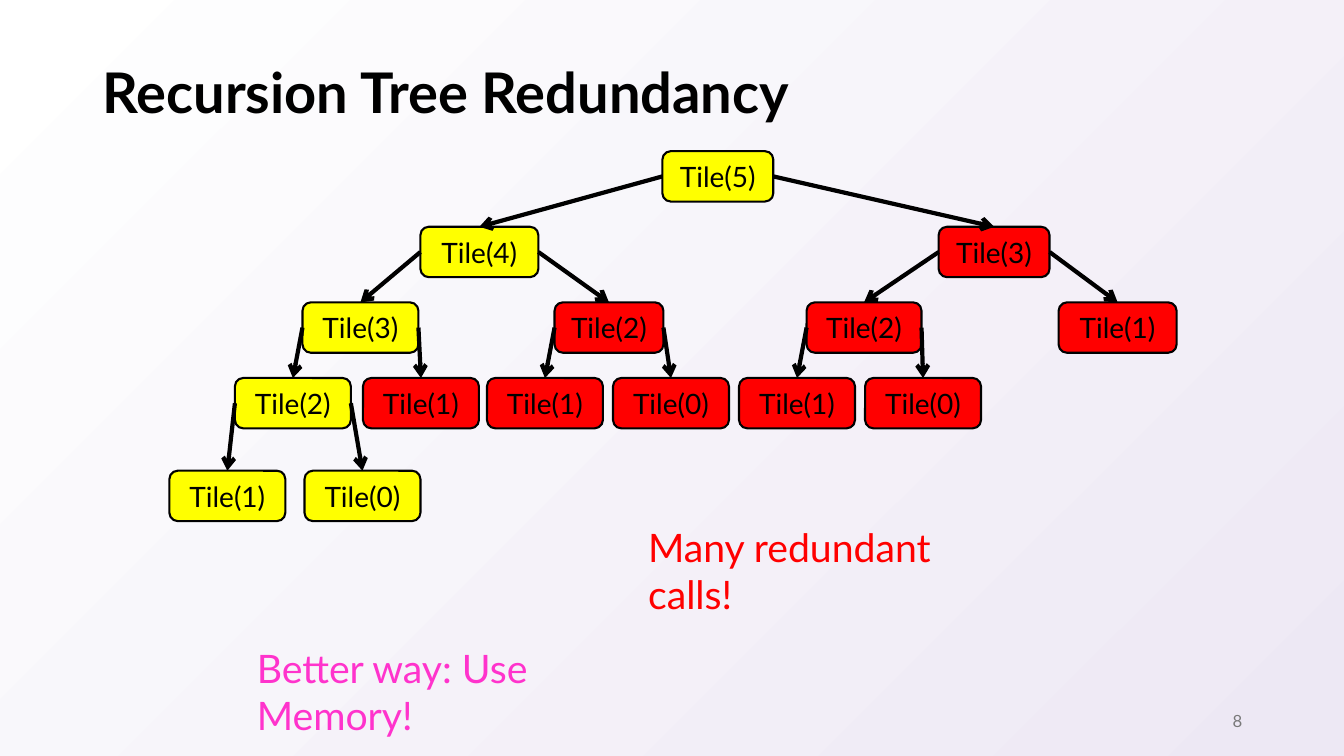
from lxml import etree
from pptx import Presentation
from pptx.dml.color import RGBColor
from pptx.enum import shapes, text
from pptx.oxml.ns import qn
from pptx.util import Inches, Pt

BLACK = RGBColor(0x00, 0x00, 0x00)
WHITE = RGBColor(0xFF, 0xFF, 0xFF)
LAVENDER = RGBColor(0xED, 0xE8, 0xF4)
YELLOW = RGBColor(0xFF, 0xFF, 0x00)
RED = RGBColor(0xFF, 0x00, 0x00)
PINK = RGBColor(0xFF, 0x33, 0xCC)
GRAY = RGBColor(0x79, 0x79, 0x79)

deck = Presentation()
deck.slide_width, deck.slide_height = Inches(13.33), Inches(7.5)
slide = deck.slides.add_slide(deck.slide_layouts[6])


def write(shape, words, size=20, color=BLACK, bold=False, spacing=1.0,
          align=text.PP_ALIGN.LEFT, anchor=text.MSO_ANCHOR.MIDDLE):
    frame = shape.text_frame
    frame.word_wrap = True
    frame.vertical_anchor = anchor
    paragraph = frame.paragraphs[0]
    paragraph.alignment = align
    paragraph.line_spacing = spacing
    run = paragraph.add_run()
    run.text = words
    run.font.name = "Lato"
    run.font.size = Pt(size)
    run.font.bold = bold
    run.font.color.rgb = color


def text_box(left, top, width, height, words, **style):
    box = slide.shapes.add_textbox(Inches(left), Inches(top), Inches(width), Inches(height))
    write(box, words, **style)


# Background: diagonal gradient
backdrop = slide.background.fill
backdrop.gradient()
backdrop.gradient_angle = 315
for stop, color, position in zip(backdrop.gradient_stops, (WHITE, LAVENDER), (0, 1)):
    stop.color.rgb = color
    stop.position = position

# Title and slide number
text_box(0.92, 0.4, 11.5, 1.09, "Recursion Tree Redundancy", size=40, bold=True, spacing=0.9)
text_box(9.42, 6.95, 3, 0.4, "8", size=12, color=GRAY, align=text.PP_ALIGN.RIGHT)

# Calls, keyed by the branches (L, R) taken from the root: argument, left, width, colour
calls = {
    "": (5, 6.57, 1.1, YELLOW),
    "L": (4, 4.17, 1.17, YELLOW),
    "R": (3, 9.31, 1.1, RED),
    "LL": (3, 3, 1.15, YELLOW),
    "LR": (2, 5.5, 1.08, RED),
    "RL": (2, 8, 1.14, RED),
    "RR": (1, 10.5, 1.17, RED),
    "LLL": (2, 2.33, 1.15, YELLOW),
    "LLR": (1, 3.6, 1.15, RED),
    "LRL": (1, 4.83, 1.15, RED),
    "LRR": (0, 6.08, 1.15, RED),
    "RLL": (1, 7.33, 1.15, RED),
    "RLR": (0, 8.58, 1.15, RED),
    "LLLL": (1, 1.68, 1.15, YELLOW),
    "LLLR": (0, 3.02, 1.15, YELLOW),
}
level_tops = (1.5, 2.25, 3, 3.75, 4.67)

tiles = {}
for branch, (argument, left, width, color) in calls.items():
    tile = slide.shapes.add_shape(
        shapes.MSO_SHAPE.ROUNDED_RECTANGLE,
        Inches(left), Inches(level_tops[len(branch)]), Inches(width), Inches(0.5))
    tile.shadow.inherit = False
    tile.fill.solid()
    tile.fill.fore_color.rgb = color
    tile.line.color.rgb = BLACK
    tile.line.width = Pt(1.5)
    write(tile, f"Tile({argument})", align=text.PP_ALIGN.CENTER)
    tiles[branch] = tile

# Arrows from the side of each caller to the top of the call it makes
TOP_SITE = 0
SIDE_SITES = {"L": 1, "R": 3}
for branch, tile in tiles.items():
    if not branch:
        continue
    arrow = slide.shapes.add_connector(shapes.MSO_CONNECTOR.STRAIGHT, 0, 0, 0, 0)
    arrow.begin_connect(tiles[branch[:-1]], SIDE_SITES[branch[-1]])
    arrow.end_connect(tile, TOP_SITE)
    arrow.line.color.rgb = BLACK
    arrow.line.width = Pt(3)
    etree.SubElement(arrow.line._get_or_add_ln(), qn("a:tailEnd"), type="arrow")
    etree.SubElement(arrow._element.spPr, qn("a:effectLst"))

# Remarks
text_box(6.33, 5.14, 3.77, 0.57, "Many redundant calls!",
         size=28, color=RED, anchor=text.MSO_ANCHOR.TOP)
text_box(2.45, 6.34, 4.3, 0.57, "Better way: Use Memory!",
         size=28, color=PINK, anchor=text.MSO_ANCHOR.TOP)

deck.save("out.pptx")
